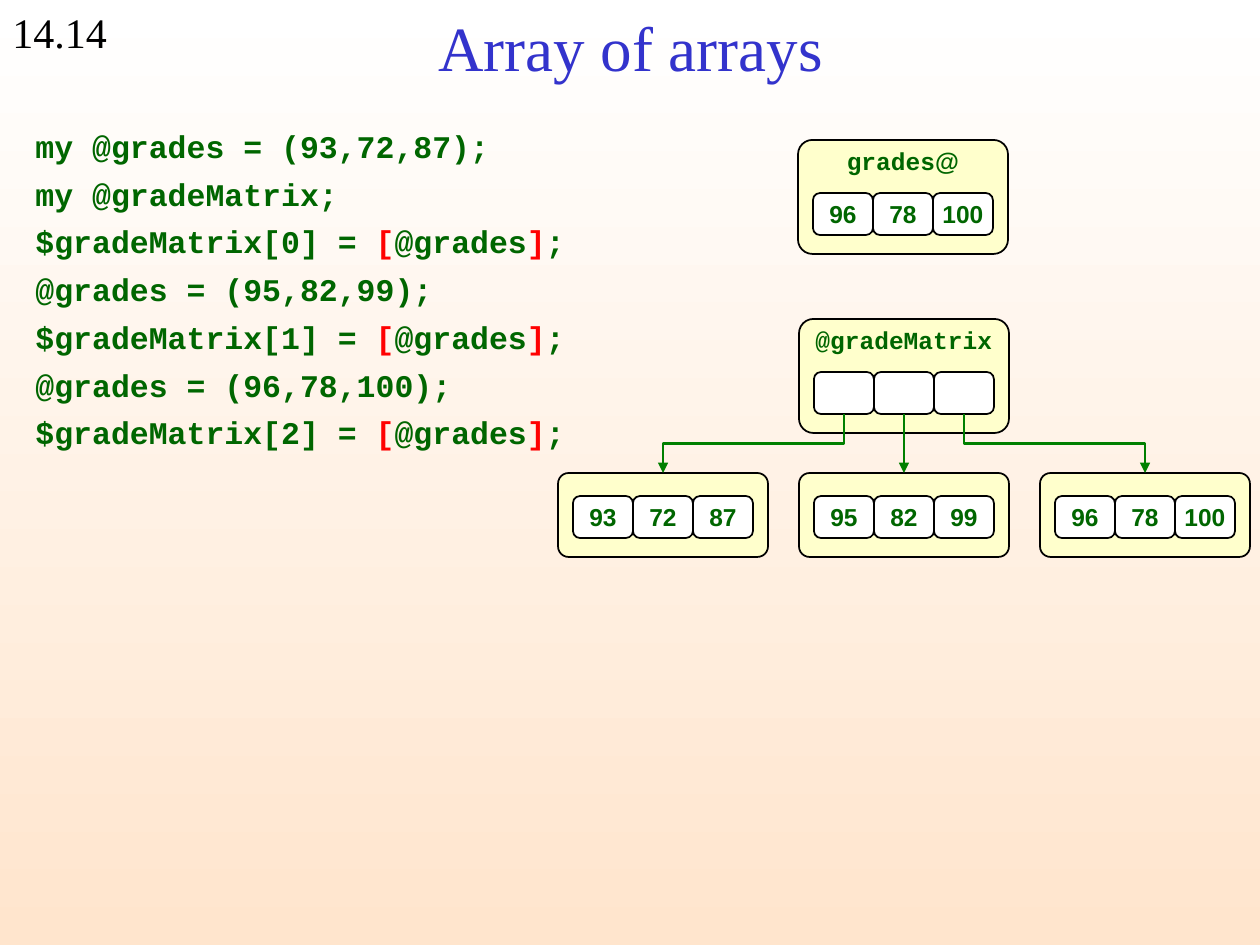
from lxml import etree
from pptx import Presentation
from pptx.dml.color import RGBColor
from pptx.enum.shapes import MSO_CONNECTOR, MSO_SHAPE
from pptx.enum.text import MSO_ANCHOR as Anchor, PP_ALIGN as Align
from pptx.oxml.ns import qn
from pptx.util import Emu, Pt

PX = 914400 / 126
GREEN, RED, BLACK = "006600", "FF0101", "000000"
BOX_WIDTH, CELL_WIDTH, CELL_HEIGHT = 210, 60, 42
CELL_LEFT = 15


def px(*lengths):
    return [Emu(round(length * PX)) for length in lengths]


def color(hex_string):
    return RGBColor.from_string(hex_string)


presentation = Presentation()
presentation.slide_width, presentation.slide_height = px(1260, 945)
slide = presentation.slides.add_slide(presentation.slide_layouts[6])
shapes = slide.shapes

background = slide.background.fill
background.gradient()
background.gradient_angle = 270
for stop, position, shade in zip(background.gradient_stops, (0, 1), ("FFFFFF", "FFE5CD")):
    stop.position = position
    stop.color.rgb = color(shade)

# Slide number and title
for text, frame, size, shade, align in (
    ("14.14", (0, 0, 144, 63), 24, BLACK, Align.LEFT),
    ("Array of arrays", (95, 5, 1071, 83), 36, "3333CC", Align.CENTER),
):
    text_frame = shapes.add_textbox(*px(*frame)).text_frame
    text_frame.word_wrap = True
    text_frame.text = text
    if align == Align.CENTER:
        text_frame.vertical_anchor = Anchor.MIDDLE
    paragraph = text_frame.paragraphs[0]
    paragraph.alignment = align
    font = paragraph.runs[0].font
    font.name, font.size, font.color.rgb = "Times New Roman", Pt(size), color(shade)

# Code listing: "|" separates the runs, brackets are red
code_lines = (
    "my @grades = (93,72,87);",
    "my @gradeMatrix;",
    "$gradeMatrix[0] = |[|@grades|]|;",
    "@grades = (95,82,99);",
    "$gradeMatrix[1] = |[|@grades|]|;",
    "@grades = (96,78,100);",
    "$gradeMatrix[2] = |[|@grades|]|;",
)
text_frame = shapes.add_textbox(*px(23, 113, 1227, 499)).text_frame
text_frame.word_wrap = True
for index, line in enumerate(code_lines):
    paragraph = text_frame.add_paragraph() if index else text_frame.paragraphs[0]
    paragraph.line_spacing = 1.2
    if index:
        paragraph.space_before = Pt(1.4)
    for piece in line.split("|"):
        run = paragraph.add_run()
        run.text = piece
        font = run.font
        font.name, font.size, font.bold = "Courier New", Pt(18), True
        font.color.rgb = color(RED if piece in ("[", "]") else GREEN)

# Arrays: left, top, height, top of cells, label, right-to-left label, values
arrays = (
    (558, 473, 84, 23, "", False, ("93", "72", "87")),
    (799, 473, 84, 23, "", False, ("95", "82", "99")),
    (1040, 473, 84, 23, "", False, ("96", "78", "100")),
    (799, 319, 114, 53, "@gradeMatrix", False, ("", "", "")),
    (798, 140, 114, 53, "@grades", True, ("96", "78", "100")),
)
for left, top, height, cell_top, label, label_rtl, values in arrays:
    parts = [((left, top, BOX_WIDTH, height), 0.126, "FFFFCC", "")]
    for column, value in enumerate(values):
        cell_left = left + CELL_LEFT + column * CELL_WIDTH
        parts.append(((cell_left, top + cell_top, CELL_WIDTH, CELL_HEIGHT), 0.167, "FFFFFF", value))
    texts = []
    for frame, rounding, fill, value in parts:
        shape = shapes.add_shape(MSO_SHAPE.ROUNDED_RECTANGLE, *px(*frame))
        shape.shadow.inherit = False
        shape.adjustments[0] = rounding
        shape.fill.solid()
        shape.fill.fore_color.rgb = color(fill)
        shape.line.color.rgb = color(BLACK)
        shape.line.width = Pt(1)
        if value:
            shape.text_frame.word_wrap = False
            shape.text_frame.vertical_anchor = Anchor.MIDDLE
            texts.append((shape.text_frame, value, True))
    if label:
        text_frame = shapes.add_textbox(*px(left - 40, top, BOX_WIDTH + 80, 43)).text_frame
        text_frame.word_wrap = True
        texts.append((text_frame, label, label_rtl))
    for text_frame, text, right_to_left in texts:
        text_frame.text = text
        paragraph = text_frame.paragraphs[0]
        paragraph.alignment = Align.CENTER
        run = paragraph.runs[0]
        font = run.font
        font.name, font.size, font.bold = "Courier New", Pt(14), True
        font.color.rgb = color(GREEN)
        if right_to_left:
            paragraph._p.get_or_add_pPr().set("rtl", "1")
            etree.SubElement(run._r.rPr, qn("a:cs"), typeface="Arial")

# Elbow arrows from the matrix cells to the row arrays, turned to leave downwards
start_y, end_y = 414, 473
drop = end_y - start_y
for start_x, end_x in ((844, 663), (904, 904), (964, 1145)):
    span = abs(end_x - start_x)
    left = (start_x + end_x - drop) / 2
    top = (start_y + end_y - span) / 2
    arrow = shapes.add_connector(MSO_CONNECTOR.ELBOW, *px(left, top, left + drop, top + span))
    transform = arrow._element.spPr.find(qn("a:xfrm"))
    if end_x > start_x:
        transform.set("rot", "16200000")
        transform.set("flipH", "1")
    else:
        transform.set("rot", "5400000")
    arrow.line.color.rgb = color("008000")
    arrow.line.width = Pt(1.5)
    etree.SubElement(arrow.line._get_or_add_ln(), qn("a:tailEnd"), type="triangle")
    etree.SubElement(arrow._element.spPr, qn("a:effectLst"))

presentation.save("out.pptx")
